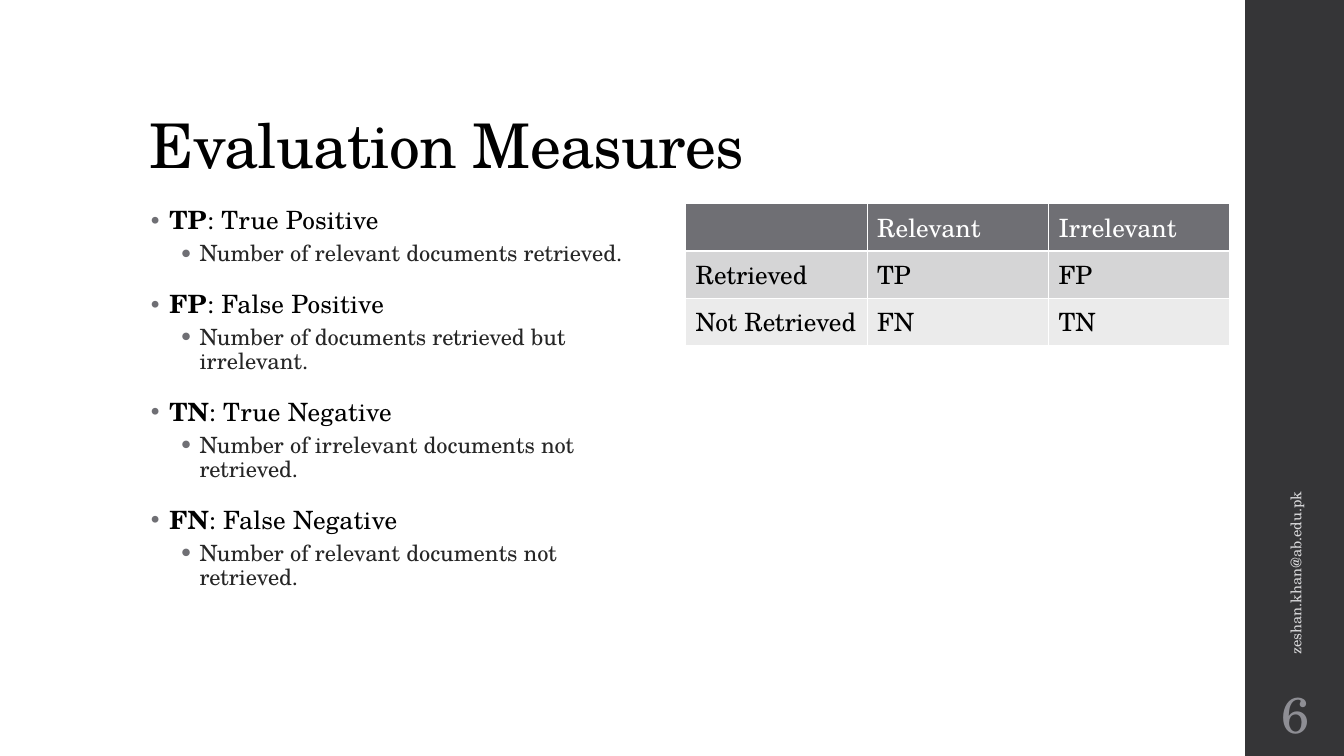
from dataclasses import dataclass

from lxml.etree import SubElement
from pptx import Presentation
from pptx.dml.color import RGBColor
from pptx.enum.shapes import MSO_SHAPE
from pptx.enum.text import MSO_ANCHOR, MSO_AUTO_SIZE, PP_ALIGN
from pptx.oxml.ns import qn
from pptx.util import Inches, Pt


@dataclass(frozen=True)
class Theme:
    font: str = "TeX Gyre Schola"
    black: str = "000000"
    white: str = "FFFFFF"
    detail: str = "262626"
    sidebar: str = "353537"
    accent: str = "6F6F74"
    email: str = "D9D9DB"
    number: str = "8E8E94"
    bands: tuple = ("D5D5D6", "EBEBEB")
    title_size: float = 44
    number_size: float = 36
    term_size: float = 18
    detail_size: float = 16
    email_size: float = 10.5


THEME = Theme()

MEASURES = [
    ("TP", "True Positive", "Number of relevant documents retrieved."),
    ("FP", "False Positive", "Number of documents retrieved but irrelevant."),
    ("TN", "True Negative", "Number of irrelevant documents not retrieved."),
    ("FN", "False Negative", "Number of relevant documents not retrieved."),
]

CONFUSION_ROWS = [
    ("", "Relevant", "Irrelevant"),
    ("Retrieved", "TP", "FP"),
    ("Not Retrieved", "FN", "TN"),
]


def add_span(para, text, size=THEME.term_size, color=THEME.black, bold=False, spacing=0):
    span = para.add_run()
    span.text = text
    span.font.name = THEME.font
    span.font.size = Pt(size)
    span.font.bold = bold
    span.font.color.rgb = RGBColor.from_string(color)
    if spacing:
        span.font._element.set("spc", str(round(spacing * 100)))
    return span


def place(shape, left, top, width, height):
    shape.left, shape.top = Inches(left), Inches(top)
    shape.width, shape.height = Inches(width), Inches(height)


def prepare_frame(shape, anchor):
    frame = shape.text_frame
    frame.word_wrap = True
    frame.auto_size = MSO_AUTO_SIZE.NONE
    frame.vertical_anchor = anchor
    return frame


def format_bullet(para, indent, line_spacing, before, after, scale):
    para.line_spacing = line_spacing
    para.space_before = Pt(before)
    para.space_after = Pt(after)
    properties = para._p.get_or_add_pPr()
    properties.set("marL", str(Inches(indent)))
    properties.set("indent", str(Inches(-0.2)))
    color = SubElement(properties, qn("a:buClr"))
    SubElement(color, qn("a:srgbClr"), val=THEME.accent)
    SubElement(properties, qn("a:buSzPct"), val=str(scale * 1000))
    SubElement(properties, qn("a:buFont"), typeface=THEME.font)
    SubElement(properties, qn("a:buChar"), char="•")


def add_sidebar(page):
    sidebar = page.shapes.add_shape(
        MSO_SHAPE.RECTANGLE, Inches(12.35), 0, Inches(1), Inches(7.5)
    )
    sidebar.shadow.inherit = False
    sidebar.fill.solid()
    sidebar.fill.fore_color.rgb = RGBColor.from_string(THEME.sidebar)
    sidebar.line.fill.background()


def fill_title(title, text):
    place(title, 1.38, 0.4, 10.6, 1.45)
    para = prepare_frame(title, MSO_ANCHOR.BOTTOM).paragraphs[0]
    para.alignment = PP_ALIGN.LEFT
    para.line_spacing = 0.9
    add_span(para, text, size=THEME.title_size, spacing=-0.5)


def fill_measures(body):
    place(body, 1.38, 2, 4.9, 4.76)
    frame = prepare_frame(body, MSO_ANCHOR.TOP)
    for index, (code, name, meaning) in enumerate(MEASURES):
        term = frame.add_paragraph() if index else frame.paragraphs[0]
        format_bullet(term, 0.2, 0.95, 14, 2, 80)
        add_span(term, code, bold=True, spacing=0.1)
        add_span(term, f": {name}", spacing=0.1)
        detail = frame.add_paragraph()
        detail.level = 1
        format_bullet(detail, 0.5, 0.9, 3, 3, 100)
        add_span(detail, meaning, size=THEME.detail_size, color=THEME.detail)


def format_cell(cell, fill):
    properties = cell._tc.get_or_add_tcPr()
    for side in ("lnL", "lnR", "lnT", "lnB"):
        border = SubElement(properties, qn(f"a:{side}"), w=str(Pt(1)))
        paint = SubElement(border, qn("a:solidFill"))
        SubElement(paint, qn("a:srgbClr"), val=THEME.white)
    cell.fill.solid()
    cell.fill.fore_color.rgb = RGBColor.from_string(fill)


def add_confusion_table(page):
    row_height = Inches(0.47)
    table = page.shapes.add_table(
        len(CONFUSION_ROWS), len(CONFUSION_ROWS[0]),
        Inches(6.8), Inches(2.02), Inches(5.4), row_height * len(CONFUSION_ROWS),
    ).table
    fills = (THEME.accent, *THEME.bands)
    for row_index, (labels, fill) in enumerate(zip(CONFUSION_ROWS, fills)):
        table.rows[row_index].height = row_height
        color = THEME.black if row_index else THEME.white
        for column_index, label in enumerate(labels):
            cell = table.cell(row_index, column_index)
            format_cell(cell, fill)
            if label:
                add_span(cell.text_frame.paragraphs[0], label, color=color)


def add_label(page, text, position, size, color, rotation=0, align=PP_ALIGN.LEFT):
    box = page.shapes.add_textbox(*map(Inches, position))
    box.rotation = rotation
    para = prepare_frame(box, MSO_ANCHOR.MIDDLE).paragraphs[0]
    para.alignment = align
    add_span(para, text, size=size, color=color)


def main():
    deck = Presentation()
    deck.slide_width, deck.slide_height = Inches(13.33), Inches(7.5)
    page = deck.slides.add_slide(deck.slide_layouts[1])
    add_sidebar(page)
    fill_title(page.shapes.title, "Evaluation Measures")
    fill_measures(page.placeholders[1])
    add_confusion_table(page)
    add_label(page, "zeshan.khan@ab.edu.pk", (10.89, 4.43, 3.92, 0.4),
              THEME.email_size, THEME.email, rotation=270)
    add_label(page, "6", (12.35, 6.75, 1, 0.65),
              THEME.number_size, THEME.number, align=PP_ALIGN.CENTER)
    deck.save("out.pptx")


if __name__ == "__main__":
    main()
